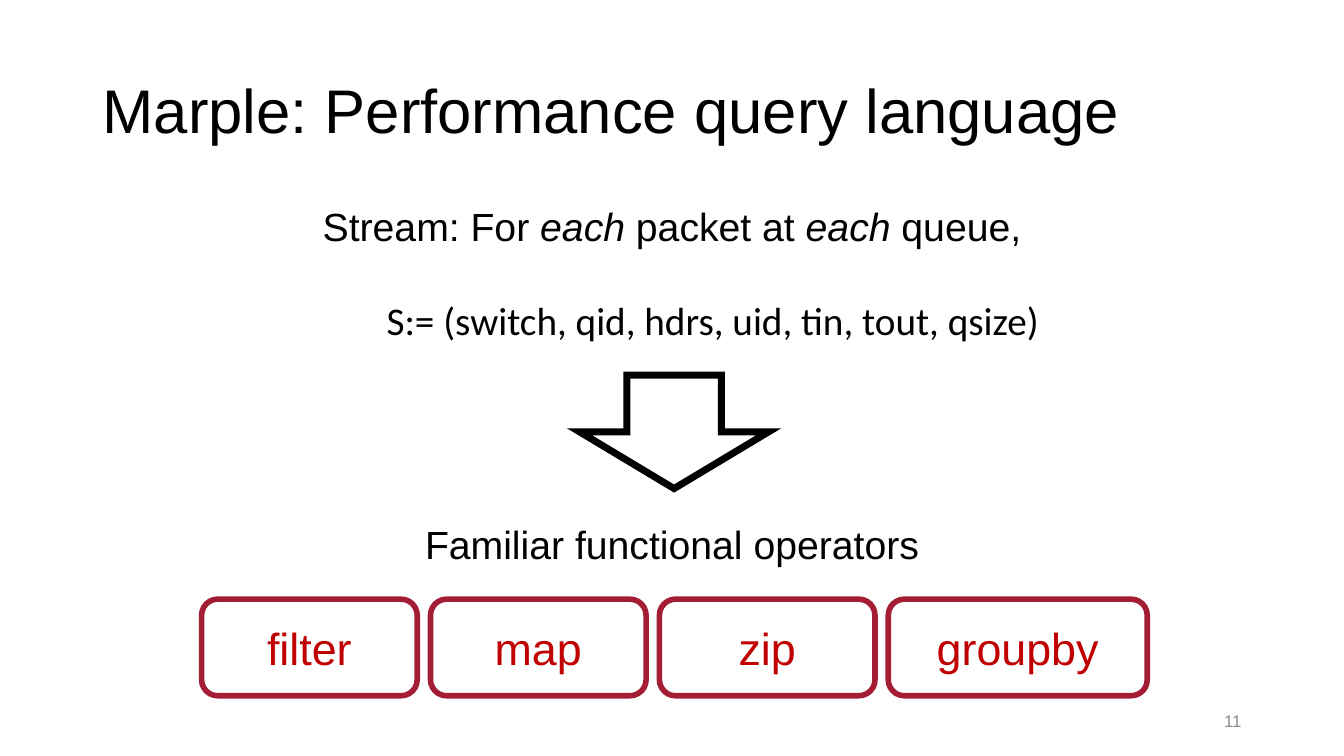
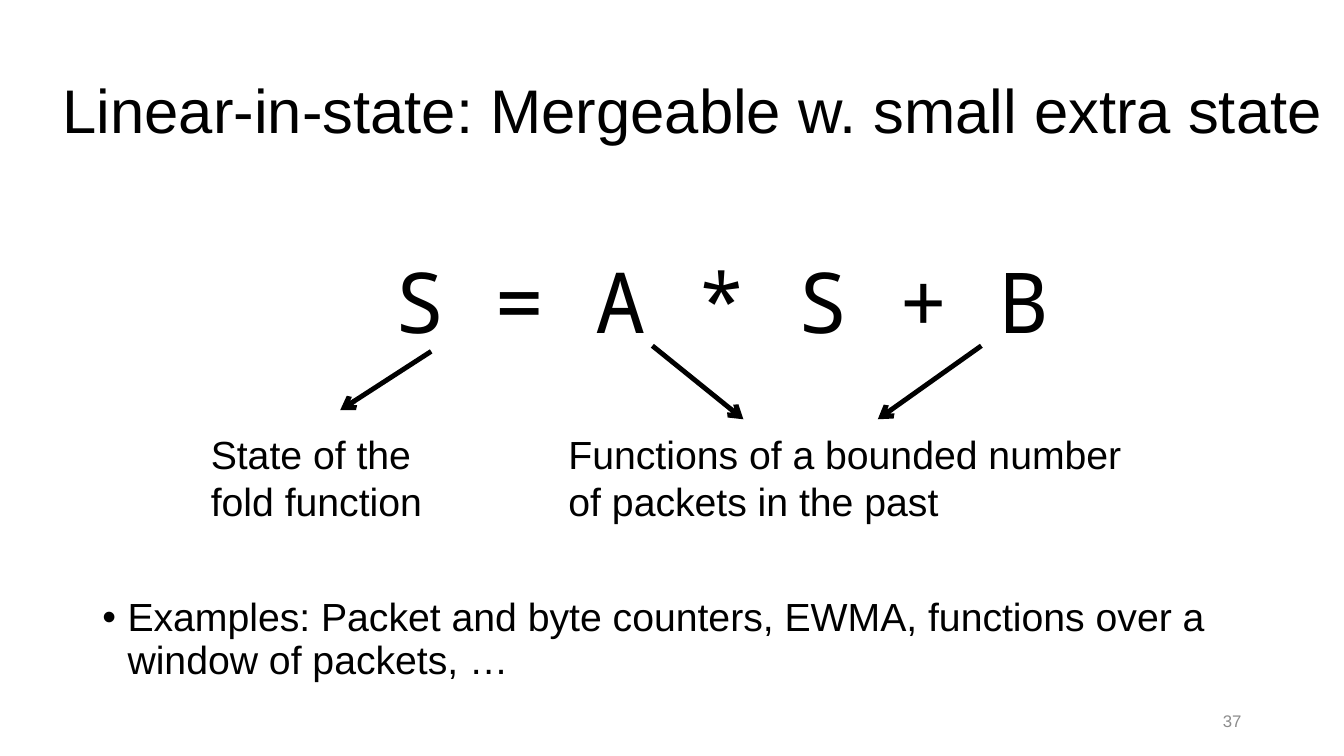
from lxml import etree
from pptx import Presentation
from pptx import util as u
from pptx.dml import color
from pptx.enum import shapes, text
from pptx.oxml import ns

Pt = u.Pt
COLORS = {"ink": "000000", "frame": "A31E34", "operator": "C00000", "number": "8C8C8C"}
SANS, HUMANIST, MONO = "Arial", "Calibri", "Noto Sans Mono"
TITLE_SIZE, BODY_SIZE, OPERATOR_SIZE, EQUATION_SIZE, NUMBER_SIZE = 44, 28, 32, 60, 12
LEFT, CENTER, RIGHT = text.PP_ALIGN.LEFT, text.PP_ALIGN.CENTER, text.PP_ALIGN.RIGHT
TOP, MIDDLE = text.MSO_ANCHOR.TOP, text.MSO_ANCHOR.MIDDLE
NUMBER_BOX = (678, 500.5, 216, 28.75)
INDENT = 18


def rgb(name):
    return color.RGBColor.from_string(COLORS[name])


def points(*lengths):
    return [Pt(length) for length in lengths]


def add_child(parent, tag, **attributes):
    return etree.SubElement(parent, ns.qn(tag), **attributes)


def style_text(frame, size, font=SANS, ink="ink", align=LEFT, anchor=TOP, spacing=None):
    frame.word_wrap = True
    frame.auto_size = text.MSO_AUTO_SIZE.NONE
    frame.vertical_anchor = anchor
    for para in frame.paragraphs:
        para.alignment = align
        para.line_spacing = spacing
        for span in para.runs:
            span.font.size = Pt(size)
            span.font.name = font
            span.font.color.rgb = rgb(ink)


def add_text(page, box, words, size=BODY_SIZE, **style):
    frame = page.shapes.add_textbox(*points(*box)).text_frame
    frame.text = words
    style_text(frame, size, **style)
    return frame


def add_outline(page, kind, box, ink, weight):
    shape = page.shapes.add_shape(kind, *points(*box))
    shape.shadow.inherit = False
    shape.fill.background()
    shape.line.color.rgb = rgb(ink)
    shape.line.width = Pt(weight)
    return shape


def add_page(deck, title_box, title, number):
    page = deck.slides.add_slide(deck.slide_layouts.get_by_name("Title Only"))
    heading = page.shapes.title
    heading.left, heading.top, heading.width, heading.height = points(*title_box)
    heading.text_frame.text = title
    style_text(heading.text_frame, TITLE_SIZE, anchor=MIDDLE, spacing=0.9)
    add_text(page, NUMBER_BOX, str(number), NUMBER_SIZE, ink="number", align=RIGHT, anchor=MIDDLE)
    return page


def add_stream(page, box):
    left, top, width, height = box
    frame = page.shapes.add_textbox(*points(left, top, width, 42)).text_frame
    para = frame.paragraphs[0]
    for words in ("Stream: For ", "each ", "packet at ", "each ", "queue,"):
        span = para.add_run()
        span.text = words
        span.font.italic = words == "each "
    style_text(frame, BODY_SIZE, align=CENTER)
    tuple_box = (left + 29, top + height - 42, width, 42)
    add_text(page, tuple_box, "S:= (switch, qid, hdrs, uid, tin, tout, qsize)", font=HUMANIST, align=CENTER)


def add_down_arrow(page, box):
    arrow = add_outline(page, shapes.MSO_SHAPE.DOWN_ARROW, box, "ink", 5)
    add_child(arrow.element.spPr.find(ns.qn("a:ln")), "a:miter", lim="800000")


def add_operators(page, box, gap=9.5):
    left, top, width, height = box
    add_text(page, (left, top, width, 42), "Familiar functional operators", align=CENTER)
    frame_left, frame_height = left + 78, 69
    for name, frame_width in (("filter", 154), ("map", 154), ("zip", 154), ("groupby", 185)):
        frame_box = (frame_left, top + height - frame_height, frame_width, frame_height)
        frame = add_outline(page, shapes.MSO_SHAPE.ROUNDED_RECTANGLE, frame_box, "frame", 4)
        frame.text_frame.text = name
        style_text(frame.text_frame, OPERATOR_SIZE, ink="operator", align=CENTER, anchor=MIDDLE)
        frame_left += frame_width + gap


def add_pointer(page, start, end):
    pointer = page.shapes.add_connector(shapes.MSO_CONNECTOR.STRAIGHT, *points(*start, *end))
    pointer.line.color.rgb = rgb("ink")
    pointer.line.width = Pt(3.5)
    properties = pointer.element.spPr
    add_child(properties.find(ns.qn("a:ln")), "a:tailEnd", type="arrow")
    add_child(properties, "a:effectLst")


def add_equation(page, box):
    left, top, width, height = box
    add_text(page, (left, top, width, 90), "S = A * S + B", EQUATION_SIZE, font=MONO, align=CENTER)
    for start, end in (((242, 76), (177, 118)), ((400, 72), (465, 124.5)), ((635, 72), (561, 124.5))):
        add_pointer(page, (left + start[0], top + start[1]), (left + end[0], top + end[1]))
    label_top = top + height - 75
    add_text(page, (left + 77.5, label_top, 190, 75), "State of the\nfold function")
    add_text(page, (left + 333, label_top, 416, 75), "Functions of a bounded number of packets in the past")


def add_examples(page, box):
    frame = page.shapes.add_textbox(*points(*box)).text_frame
    para = frame.paragraphs[0]
    properties = para._p.get_or_add_pPr()
    properties.set("marL", str(Pt(INDENT)))
    properties.set("indent", str(-Pt(INDENT)))
    add_child(properties, "a:buFont", typeface=SANS)
    add_child(properties, "a:buChar", char="•")
    para.text = "Examples: Packet and byte counters, EWMA, functions over a window of packets, …"
    style_text(frame, BODY_SIZE, spacing=0.9)


def build_query_language(deck):
    page = add_page(deck, (66, 29, 828, 104), "Marple: Performance query language", 11)
    add_stream(page, (66, 141, 828, 109))
    add_down_arrow(page, (414, 268, 135, 81))
    add_operators(page, (66, 368, 828, 129))


def build_linear_in_state(deck):
    page = add_page(deck, (37.5, 29, 922.5, 104), "Linear-in-state: Mergeable w. small extra state", 37)
    add_equation(page, (66, 175, 899, 204))
    add_examples(page, (66, 423.5, 865, 75))


def main():
    deck = Presentation()
    deck.slide_width, deck.slide_height = points(960, 540)
    build_query_language(deck)
    build_linear_in_state(deck)
    deck.save("out.pptx")


if __name__ == "__main__":
    main()
